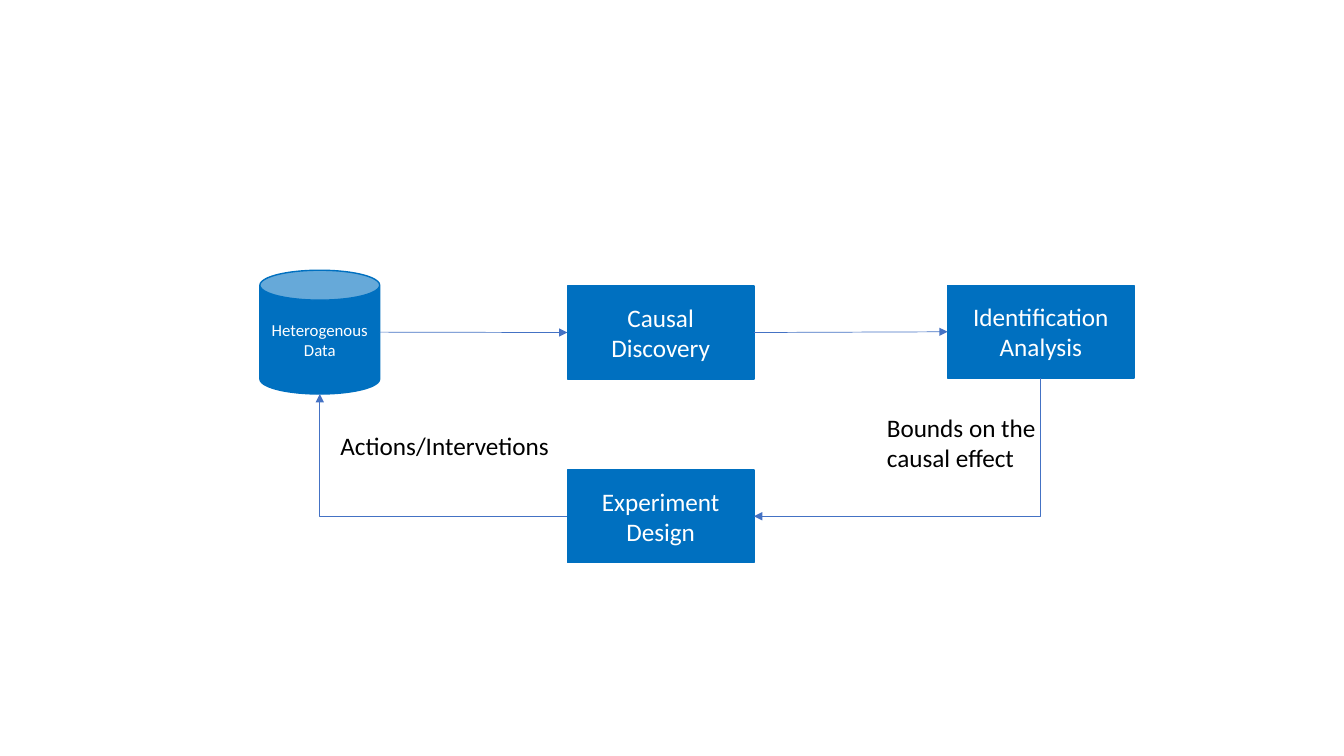
"""Build a slide showing the causal discovery and experiment design loop."""
from lxml import etree
from pptx import Presentation
from pptx.dml.color import RGBColor
from pptx.enum.shapes import MSO_CONNECTOR, MSO_SHAPE
from pptx.enum.text import MSO_ANCHOR, PP_ALIGN
from pptx.oxml.ns import qn
from pptx.util import Cm, Pt

CAN, RECT = MSO_SHAPE.CAN, MSO_SHAPE.RECTANGLE
STRAIGHT, ELBOW = MSO_CONNECTOR.STRAIGHT, MSO_CONNECTOR.ELBOW
CENTER, LEFT = PP_ALIGN.CENTER, PP_ALIGN.LEFT
MIDDLE, TOP = MSO_ANCHOR.MIDDLE, MSO_ANCHOR.TOP

STAGE_COLOR, ARROW_COLOR, WHITE, BLACK = "0070C0", "4472C4", "FFFFFF", "000000"
STAGE_W, STAGE_H = 4.7, 2.34

STAGES = {
    "data": ("Heterogenous Data", CAN, (6.55, 6.81, 3.02, 3.12), 12),
    "discovery": ("Causal Discovery", RECT, (14.3, 7.21, STAGE_W, STAGE_H), 18),
    "analysis": ("Identification Analysis", RECT, (23.88, 7.19, STAGE_W, STAGE_H), 18),
    "design": ("Experiment Design", RECT, (14.3, 11.84, STAGE_W, STAGE_H), 18),
}
FLOWS = [
    ("data", "right", "discovery", "left", None),
    ("discovery", "right", "analysis", "left", None),
    ("analysis", "bottom", "design", "right", 90),
    ("design", "left", "data", "bottom", 180),
]
LABELS = [
    ("Bounds on the causal effect", (22.1, 10.26, 4.88, 1.8)),
    ("Actions/Intervetions", (8.33, 10.72, 5.99, 1.02)),
]
SIDES = {"left": (0, 0.5), "right": (1, 0.5), "bottom": (0.5, 1)}


def rgb(color):
    return RGBColor.from_string(color)


def write(holder, text, size, color, align, anchor):
    frame = holder.text_frame
    frame.text = text
    frame.word_wrap = True
    frame.vertical_anchor = anchor
    paragraph = frame.paragraphs[0]
    paragraph.alignment = align
    font = paragraph.runs[0].font
    font.name, font.size, font.color.rgb = "Calibri", Pt(size), rgb(color)


def add_stage(slide, text, outline, box, size):
    stage = slide.shapes.add_shape(outline, *map(Cm, box))
    stage.shadow.inherit = False
    stage.fill.solid()
    stage.fill.fore_color.rgb = rgb(STAGE_COLOR)
    stage.line.color.rgb = rgb(STAGE_COLOR)
    stage.line.width = Pt(1)
    write(stage, text, size, WHITE, CENTER, MIDDLE)


def side_point(stage, side):
    left, top, width, height = STAGES[stage][2]
    across, down = SIDES[side]
    return left + across * width, top + down * height


def add_flow(slide, source, source_side, target, target_side, turn):
    x1, y1 = side_point(source, source_side)
    x2, y2 = side_point(target, target_side)
    kind = STRAIGHT
    if turn is not None:
        kind = ELBOW
        width, height = abs(x2 - x1), abs(y2 - y1)
        if turn == 90:
            width, height = height, width
        mid_x, mid_y = (x1 + x2) / 2, (y1 + y2) / 2
        x1, x2 = mid_x - width / 2, mid_x + width / 2
        y1, y2 = mid_y - height / 2, mid_y + height / 2
    arrow = slide.shapes.add_connector(kind, *map(Cm, (x1, y1, x2, y2)))
    arrow.line.color.rgb = rgb(ARROW_COLOR)
    arrow.line.width = Pt(0.5)
    properties = arrow._element.spPr
    if turn is not None:
        properties.find(qn("a:xfrm")).set("rot", str(turn * 60000))
        properties.find(qn("a:prstGeom")).set("prst", "bentConnector2")
    etree.SubElement(properties.find(qn("a:ln")), qn("a:tailEnd"), type="triangle")
    etree.SubElement(properties, qn("a:effectLst"))


def main():
    deck = Presentation()
    deck.slide_width, deck.slide_height = Cm(33.87), Cm(19.05)
    slide = deck.slides.add_slide(deck.slide_layouts[6])
    for stage in STAGES.values():
        add_stage(slide, *stage)
    for flow in FLOWS:
        add_flow(slide, *flow)
    for text, box in LABELS:
        label = slide.shapes.add_textbox(*map(Cm, box))
        write(label, text, 18, BLACK, LEFT, TOP)
    deck.save("out.pptx")


if __name__ == "__main__":
    main()
